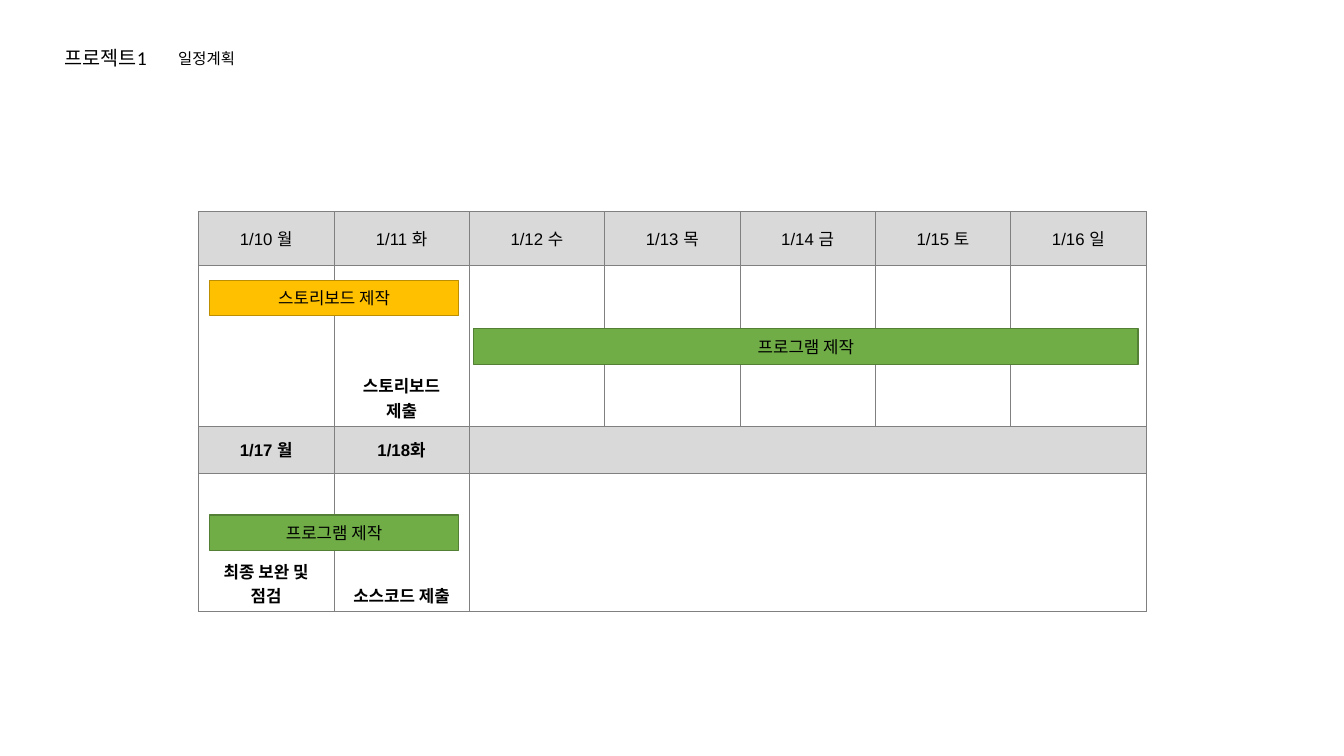
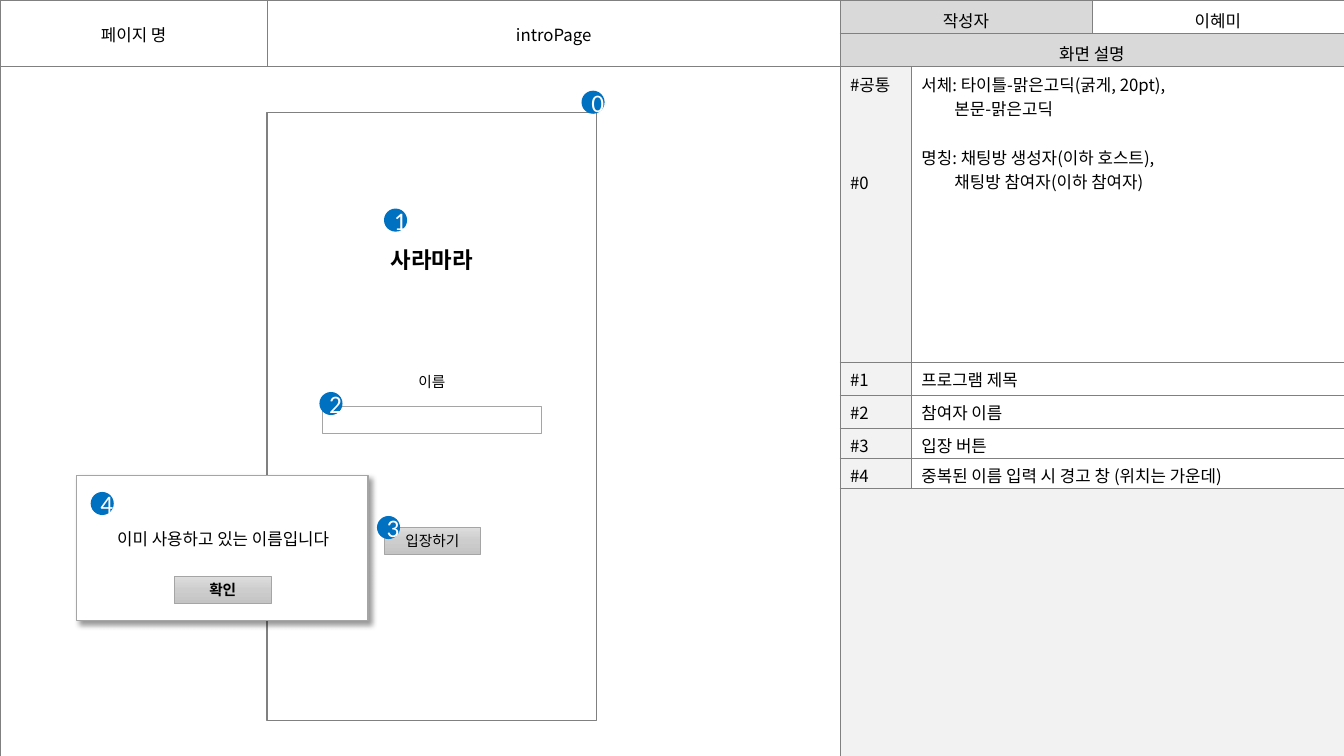
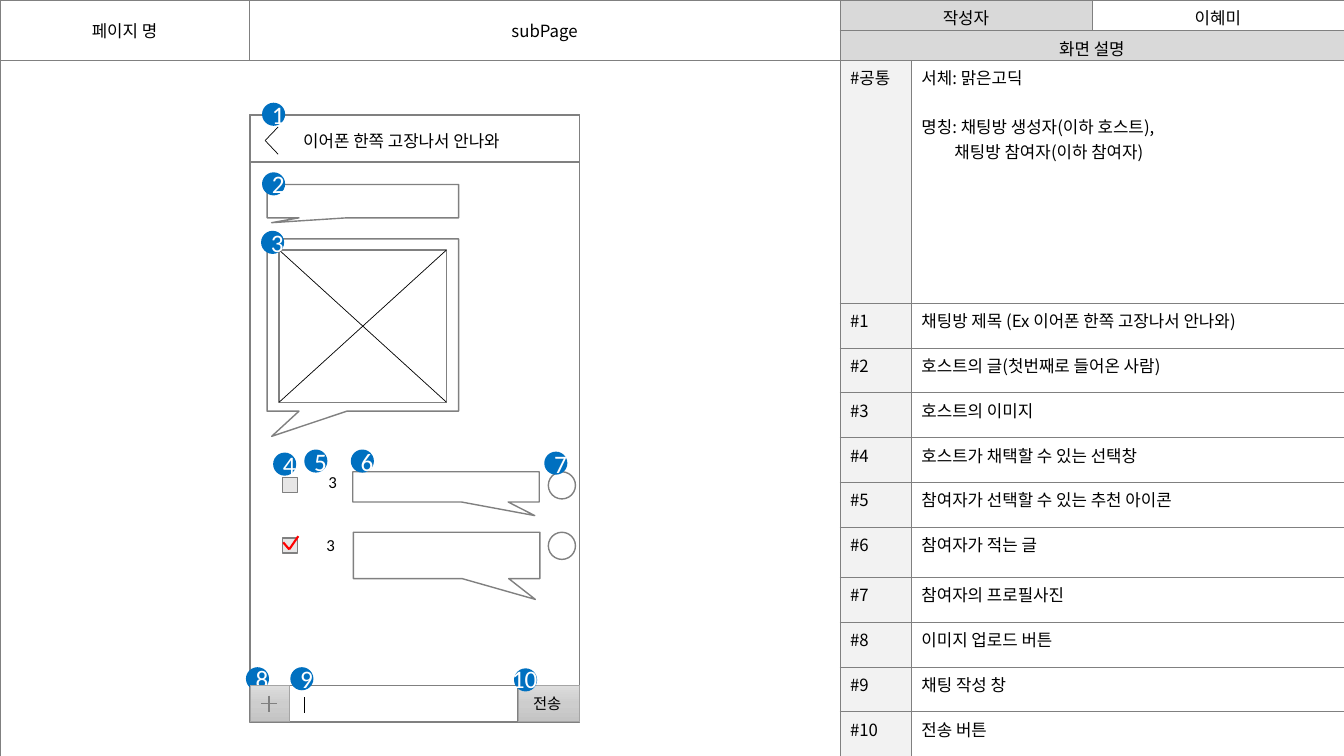
from copy import deepcopy
from dataclasses import dataclass, replace
from typing import NamedTuple

from lxml import etree
from pptx import Presentation
from pptx.dml.color import RGBColor
from pptx.enum.shapes import MSO_CONNECTOR, MSO_SHAPE
from pptx.enum.text import MSO_ANCHOR, MSO_AUTO_SIZE, PP_ALIGN
from pptx.oxml.ns import qn
from pptx.shapes.autoshape import Shape
from pptx.shapes.shapetree import GroupShapes, SlideShapes
from pptx.slide import Slide
from pptx.table import Table, _Cell
from pptx.text.text import TextFrame, _Paragraph
from pptx.util import Pt

Tree = SlideShapes | GroupShapes
Box = tuple[float, float, float, float]
Spot = tuple[float, float]

RECT = MSO_SHAPE.RECTANGLE
OVAL = MSO_SHAPE.OVAL
TALK = MSO_SHAPE.RECTANGULAR_CALLOUT
LINE = MSO_CONNECTOR.STRAIGHT
TOP, MID, LOW = MSO_ANCHOR.TOP, MSO_ANCHOR.MIDDLE, MSO_ANCHOR.BOTTOM
LEFT, MIDST = PP_ALIGN.LEFT, PP_ALIGN.CENTER
GROW = MSO_AUTO_SIZE.SHAPE_TO_FIT_TEXT

BLACK = RGBColor(0, 0, 0)
WHITE = RGBColor(0xFF, 0xFF, 0xFF)
GREY = RGBColor(0x80, 0x80, 0x80)
SOFT = RGBColor(0xA5, 0xA5, 0xA5)
HEAD = RGBColor(0xD9, 0xD9, 0xD9)
PALE = RGBColor(0xF2, 0xF2, 0xF2)
CHECK = RGBColor(0xE7, 0xE6, 0xE6)
BLUE = RGBColor(0x00, 0x70, 0xC0)
RED = RGBColor(0xFF, 0, 0)
GOLD = RGBColor(0xFF, 0xC0, 0)
GOLD_EDGE = RGBColor(0xBD, 0x8E, 0)
GREEN = RGBColor(0x70, 0xAD, 0x47)
GREEN_EDGE = RGBColor(0x53, 0x80, 0x35)
SHEEN = (RGBColor(0xDD, 0xDD, 0xDD), RGBColor(0xCD, 0xCD, 0xCD), RGBColor(0xC4, 0xC4, 0xC4))

ASIAN = "Noto Sans CJK KR"
ROW = 17.5
DENT = 23.6
DOT = 16.5
PANE = (51, 129, 180)
LEAD = 600


@dataclass(frozen=True)
class Style:
    size: float = 12
    name: str = "Calibri"
    color: RGBColor = BLACK
    bold: bool = False
    align: PP_ALIGN = MIDST


class Line(NamedTuple):
    text: str
    gap: float = 0
    dent: float = 0


class Pad(NamedTuple):
    side: float
    top: float
    foot: float


@dataclass(frozen=True)
class Cell:
    row: int
    col: int
    lines: tuple[Line, ...] = ()
    style: Style = Style()
    fill: RGBColor | None = None
    down: int = 1
    wide: int = 1
    anchor: MSO_ANCHOR = MID


class Note(NamedTuple):
    tag: tuple[Line, ...]
    lines: tuple[Line, ...]
    high: float


@dataclass(frozen=True)
class Page:
    name: str
    split: float
    top: float
    head: float
    notes: tuple[Note, ...]
    tail: float = 0


class Badge(NamedTuple):
    text: str
    left: float
    top: float


PLAIN = Style()
LABEL = Style(align=LEFT)
SMALL = Style(10.5)
COUNT = Style(18, color=WHITE)
DAY = Style(name="Arial")
TASK = replace(DAY, bold=True)
TOPIC = Style(name=ASIAN)
MEMO = replace(TOPIC, align=LEFT)


def dress(para: _Paragraph, style: Style) -> None:
    font = para.font
    font.size, font.name, font.bold = Pt(style.size), style.name, style.bold
    font.color.rgb = style.color
    para.alignment = style.align
    base = para._p.get_or_add_pPr().find(qn("a:defRPr"))
    etree.SubElement(base, qn("a:ea"), typeface=ASIAN)


def write(frame: TextFrame, lines: tuple[Line, ...], style: Style) -> None:
    for index, line in enumerate(lines):
        para = frame.add_paragraph() if index else frame.paragraphs[0]
        para.text = line.text
        dress(para, style)
        if line.gap:
            para.space_before = Pt(line.gap)
        if line.dent:
            para._p.get_or_add_pPr().set("marL", str(Pt(line.dent)))


def shape(tree: Tree, kind: MSO_SHAPE, box: Box, fill: RGBColor | None = None,
          edge: RGBColor | None = GREY, width: float = 1, text: str = "",
          style: Style = PLAIN) -> Shape:
    item = tree.add_shape(kind, *map(Pt, box))
    item.shadow.inherit = False
    if fill is None:
        item.fill.background()
    else:
        item.fill.solid()
        item.fill.fore_color.rgb = fill
    if edge is None:
        item.line.fill.background()
    else:
        item.line.color.rgb = edge
        item.line.width = Pt(width)
    if text:
        item.text_frame.vertical_anchor = MID
        write(item.text_frame, (Line(text),), style)
    return item


def button(tree: Tree, box: Box, text: str = "", style: Style = SMALL) -> None:
    item = shape(tree, RECT, box, None, SOFT, 0.5, text, style)
    item.fill.gradient()
    item.fill.gradient_angle = 270
    stops = item._element.spPr.find(".//" + qn("a:gsLst"))
    stops.insert(1, deepcopy(stops[0]))
    for index, (stop, color) in enumerate(zip(item.fill.gradient_stops, SHEEN)):
        stop.position = index / 2
        stop.color.rgb = color


def label(tree: Tree, box: Box, text: str, style: Style = PLAIN, wrap: bool = True) -> None:
    frame = tree.add_textbox(*map(Pt, box)).text_frame
    frame.word_wrap = wrap
    frame.auto_size = GROW
    write(frame, (Line(text),), style)


def stroke(tree: Tree, start: Spot, end: Spot, color: RGBColor = BLACK,
           width: float = 0.5) -> None:
    item = tree.add_connector(LINE, *map(Pt, start + end))
    item.line.color.rgb = color
    item.line.width = Pt(width)
    etree.SubElement(item._element.spPr, qn("a:effectLst"))


def badge(tree: Tree, spot: Badge) -> None:
    shape(tree, OVAL, (spot.left, spot.top, DOT, DOT), BLUE, None, text=spot.text, style=COUNT)


def talk(tree: Tree, box: Box, tip: Spot) -> None:
    item = shape(tree, TALK, box)
    item.adjustments[0], item.adjustments[1] = tip


def cast(item: Shape) -> None:
    effect = item._element.spPr.find(qn("a:effectLst"))
    outer = etree.SubElement(effect, qn("a:outerShdw"), blurRad=str(Pt(4)),
                             dist=str(Pt(3)), dir="2700000", algn="tl", rotWithShape="0")
    color = etree.SubElement(outer, qn("a:srgbClr"), val=str(BLACK))
    etree.SubElement(color, qn("a:alpha"), val="40000")


def border(cell: _Cell) -> None:
    props = cell._tc.get_or_add_tcPr()
    for side in ("L", "R", "T", "B"):
        edge = etree.SubElement(props, qn("a:ln" + side), w=str(Pt(0.5)))
        solid = etree.SubElement(edge, qn("a:solidFill"))
        etree.SubElement(solid, qn("a:srgbClr"), val=str(GREY))


def reset(cell: _Cell, pad: Pad) -> None:
    border(cell)
    cell.fill.background()
    cell.margin_left = cell.margin_right = Pt(pad.side)
    cell.margin_top, cell.margin_bottom = Pt(pad.top), Pt(pad.foot)


def place(table: Table, item: Cell, pad: Pad) -> None:
    cell = table.cell(item.row, item.col)
    if item.down * item.wide > 1:
        cell.merge(table.cell(item.row + item.down - 1, item.col + item.wide - 1))
    if item.down > 1:
        cell.margin_bottom = Pt(pad.top)
    if item.fill is not None:
        cell.fill.solid()
        cell.fill.fore_color.rgb = item.fill
    cell.vertical_anchor = item.anchor
    write(cell.text_frame, item.lines, item.style)


def grid(tree: Tree, spot: Spot, cols: tuple[float, ...], rows: tuple[float, ...],
         cells: list[Cell], pad: Pad) -> None:
    box = (*spot, sum(cols), sum(rows))
    table = tree.add_table(len(rows), len(cols), *map(Pt, box)).table
    table.first_row = table.horz_banding = False
    for col, width in zip(table.columns, cols):
        col.width = Pt(width)
    for row, high in zip(table.rows, rows):
        row.height = Pt(high)
    for cell in table.iter_cells():
        reset(cell, pad)
    for item in cells:
        place(table, item, pad)
    for cell in table.iter_cells():
        if not cell.text:
            etree.SubElement(cell.text_frame.paragraphs[0]._p, qn("a:endParaRPr"), sz="1200")


def board(tree: Tree, page: Page) -> None:
    rows = (page.head, page.head, *(note.high for note in page.notes))
    if page.tail:
        rows += (page.tail,)
    cells = [
        Cell(0, 0, (Line("페이지 명"),), TOPIC, down=2),
        Cell(0, 1, (Line(page.name),), TOPIC, down=2),
        Cell(0, 2, (Line("작성자"),), TOPIC, HEAD, wide=2),
        Cell(0, 4, (Line("이혜미"),), TOPIC),
        Cell(1, 2, (Line("화면 설명"),), TOPIC, HEAD, wide=3),
        Cell(2, 0, down=len(rows) - 2, wide=2),
    ]
    for row, note in enumerate(page.notes, 2):
        cells += [Cell(row, 2, note.tag, MEMO, PALE, anchor=TOP),
                  Cell(row, 3, note.lines, MEMO, wide=2, anchor=TOP)]
    if page.tail:
        cells.append(Cell(len(rows) - 1, 2, fill=PALE, wide=3))
    cols = (page.split, LEAD - page.split, *PANE)
    grid(tree, (0, page.top), cols, rows, cells, Pad(7.2, 3.6, 0))


def listing(texts: tuple[str, ...], highs: tuple[float, ...]) -> tuple[Note, ...]:
    return tuple(Note((Line(f"#{num}"),), (Line(text),), high)
                 for num, (text, high) in enumerate(zip(texts, highs), 1))


def plan(slide: Slide) -> None:
    tree = slide.shapes
    title = tree.title
    title.left, title.top, title.width, title.height = map(Pt, (38.9, 0, 720, 53.3))
    title.text_frame.vertical_anchor = LOW
    write(title.text_frame, (Line("프로젝트1"),), Style(14, align=LEFT))
    title.text_frame.paragraphs[0].line_spacing = 0.9
    label(tree, (120.2, 31.7, 59, 20.9), "일정계획", Style(11, align=LEFT), False)

    days = ("1/10 월", "1/11 화", "1/12 수", "1/13 목", "1/14 금", "1/15 토", "1/16 일")
    cells = [Cell(0, col, (Line(day),), DAY, HEAD) for col, day in enumerate(days)]
    cells += [
        Cell(1, 1, (Line("스토리보드"), Line("제출")), TASK, anchor=LOW),
        Cell(2, 0, (Line("1/17 월"),), TASK, HEAD),
        Cell(2, 1, (Line("1/18화"),), TASK, HEAD),
        Cell(2, 2, fill=HEAD, wide=5),
        Cell(3, 0, (Line("최종 보완 및"), Line("점검")), TASK, anchor=LOW),
        Cell(3, 1, (Line("소스코드 제출"),), TASK, anchor=LOW),
        Cell(3, 2, wide=5),
    ]
    grid(tree, (141.8, 151.2), (96.7,) * 7, (38.2, 115, 33.6, 99), cells, Pad(5, 2.9, 2.9))
    for text, box, fill, edge in (
        ("스토리보드 제작", (149.8, 200.2, 177.8, 25.2), GOLD, GOLD_EDGE),
        ("프로그램 제작", (338.4, 234.7, 474.5, 25.9), GREEN, GREEN_EDGE),
        ("프로그램 제작", (149.8, 367.9, 177.8, 25.2), GREEN, GREEN_EDGE),
    ):
        shape(tree, RECT, box, fill, edge, text=text)


NAMING = (Line("명칭: 채팅방 생성자(이하 호스트),", ROW),
          Line("채팅방 참여자(이하 참여자)", dent=DENT))


def intro(slide: Slide) -> None:
    tree = slide.shapes
    common = Note((Line("#공통"), Line("#0", 3 * ROW)),
                  (Line("서체: 타이틀-맑은고딕(굵게, 20pt),"),
                   Line("본문-맑은고딕", dent=DENT), *NAMING), 210.8)
    texts = ("프로그램 제목", "참여자 이름", "입장 버튼",
             "중복된 이름 입력 시 경고 창 (위치는 가운데)")
    notes = (common, *listing(texts, (23.6, 23.6, 21.6, 21.6)))
    board(tree, Page("introPage", 191, 0.5, 23.6, notes, 193))

    shape(tree, RECT, (190.8, 80.6, 235.4, 434.2))
    label(tree, (204.5, 172, 208, 26.6), "사라마라", Style(16, ASIAN, bold=True))
    label(tree, (168.5, 262.8, 280, 21), "이름", SMALL)
    shape(tree, RECT, (230.4, 290.2, 156.2, 19.4), edge=SOFT, width=0.75)
    button(tree, (274.3, 376.6, 69.1, 19.4), "입장하기")
    for spot in (Badge("0", 415.4, 64.8), Badge("1", 274.3, 149),
                 Badge("2", 228.2, 280), Badge("3", 269.3, 368.6)):
        badge(tree, spot)

    alert = tree.add_group_shape().shapes
    cast(shape(alert, RECT, (54.7, 339.8, 208.1, 103.7), WHITE, SOFT))
    label(alert, (69.1, 374.4, 180.7, 21.6), "이미 사용하고 있는 이름입니다", wrap=False)
    button(alert, (124.6, 411.8, 69.1, 19.4), "확인", replace(SMALL, bold=True))
    badge(alert, Badge("4", 64.8, 351.4))


def chat(slide: Slide) -> None:
    tree = slide.shapes
    common = Note((Line("#공통"),), (Line("서체: 맑은고딕"), *NAMING), 173.5)
    texts = ("채팅방 제목 (Ex 이어폰 한쪽 고장나서 안나와)", "호스트의 글(첫번째로 들어온 사람)",
             "호스트의 이미지", "호스트가 채택할 수 있는 선택창",
             "참여자가 선택할 수 있는 추천 아이콘", "참여자가 적는 글",
             "참여자의 프로필사진", "이미지 업로드 버튼", "채팅 작성 창", "전송 버튼")
    highs = (32,) * 5 + (36,) + (32,) * 4
    board(tree, Page("subPage", 178, 0, 21.5, (common, *listing(texts, highs))))

    shape(tree, RECT, (178.6, 82.1, 235.4, 434.2))
    for top, high in ((170.6, 123.1), (131.8, 23.8)):
        talk(tree, (190.8, top, 136.8, high), (-0.476, 0.646))
    shape(tree, RECT, (178.6, 82.1, 235.4, 33.8))

    photo = tree.add_group_shape().shapes
    left, top, wide, high = 199.4, 178.6, 119.5, 108.7
    shape(photo, RECT, (left, top, wide, high), WHITE)
    stroke(photo, (left, top), (left + wide, top + high))
    stroke(photo, (left, top + high), (left + wide, top))

    for left, top, high, likes in ((252, 337, 21.6, (227.5, 333.4)),
                                   (252.4, 380.2, 33.1, (226.1, 378.7))):
        talk(tree, (left, top, 133.2, high), (0.476, 0.949))
        shape(tree, RECT, (201.6, top + 4, 10.8, 10.8), CHECK)
        shape(tree, OVAL, (391.7, top, 19.4, 19.4))
        label(tree, (*likes, 20.9, 21.6), "3", LABEL, False)
    tick = tree.add_group_shape().shapes
    for start in ((202.3, 387.4), (213.1, 383)):
        stroke(tick, start, (206.6, 392.4), RED, 1.5)

    shape(tree, RECT, (206.6, 489.6, 163.4, 25.9))
    stroke(tree, (217.4, 498.2), (217.4, 509), width=1)
    back = tree.add_group_shape().shapes
    for end in ((198.7, 90.7), (198.7, 110.2)):
        stroke(back, (189.4, 100.4), end)
    label(tree, (209.5, 90, 208, 21.6), "이어폰 한쪽 고장나서 안나와", LABEL)

    for spot in (Badge("1", 187.2, 73.4), Badge("2", 187.2, 123.1), Badge("3", 186.5, 164.9),
                 Badge("4", 195.1, 323.3), Badge("5", 217.4, 321.1), Badge("6", 250.6, 321.1),
                 Badge("7", 388.8, 322.6), Badge("8", 175.7, 476.6)):
        badge(tree, spot)
    button(tree, (370.1, 489.6, 43.9, 25.9))
    button(tree, (178.6, 489.6, 28.1, 25.9))
    plus = tree.add_group_shape().shapes
    stroke(plus, (192.2, 496.8), (192.2, 508.3), GREY, 1)
    stroke(plus, (186.5, 502.6), (198, 502.6), GREY, 1)
    label(tree, (373.7, 492.5, 208, 20.9), "전송", Style(11, align=LEFT))
    badge(tree, Badge("9", 207.4, 476.6))
    badge(tree, Badge("", 367.2, 477.4))
    label(tree, (358.6, 470.2, 33.1, 28.8), "10", replace(COUNT, align=LEFT), False)


def main() -> None:
    deck = Presentation()
    deck.slide_width, deck.slide_height = Pt(960), Pt(540)
    for layout, draw in ((5, plan), (6, intro), (6, chat)):
        draw(deck.slides.add_slide(deck.slide_layouts[layout]))
    deck.save("out.pptx")


main()
